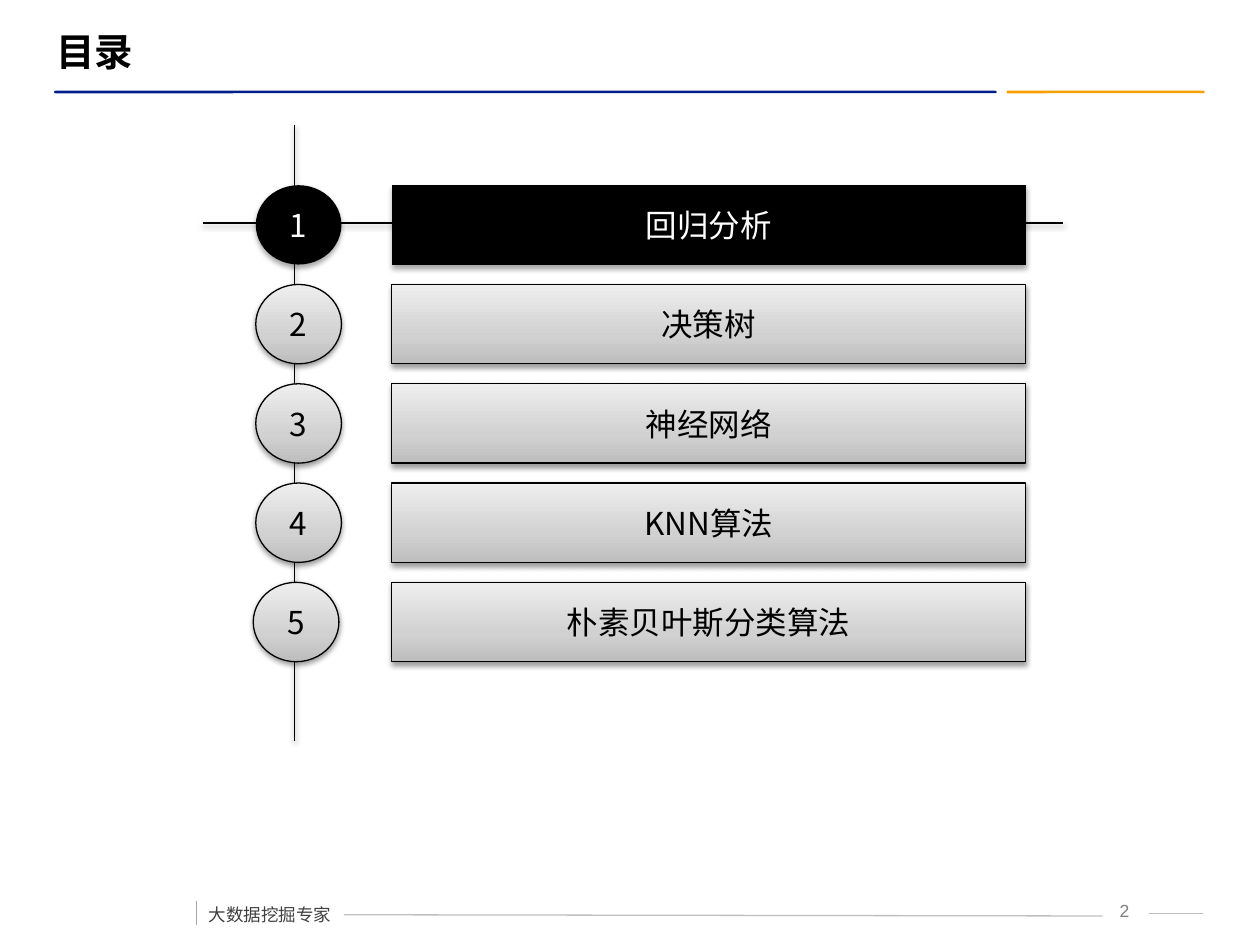
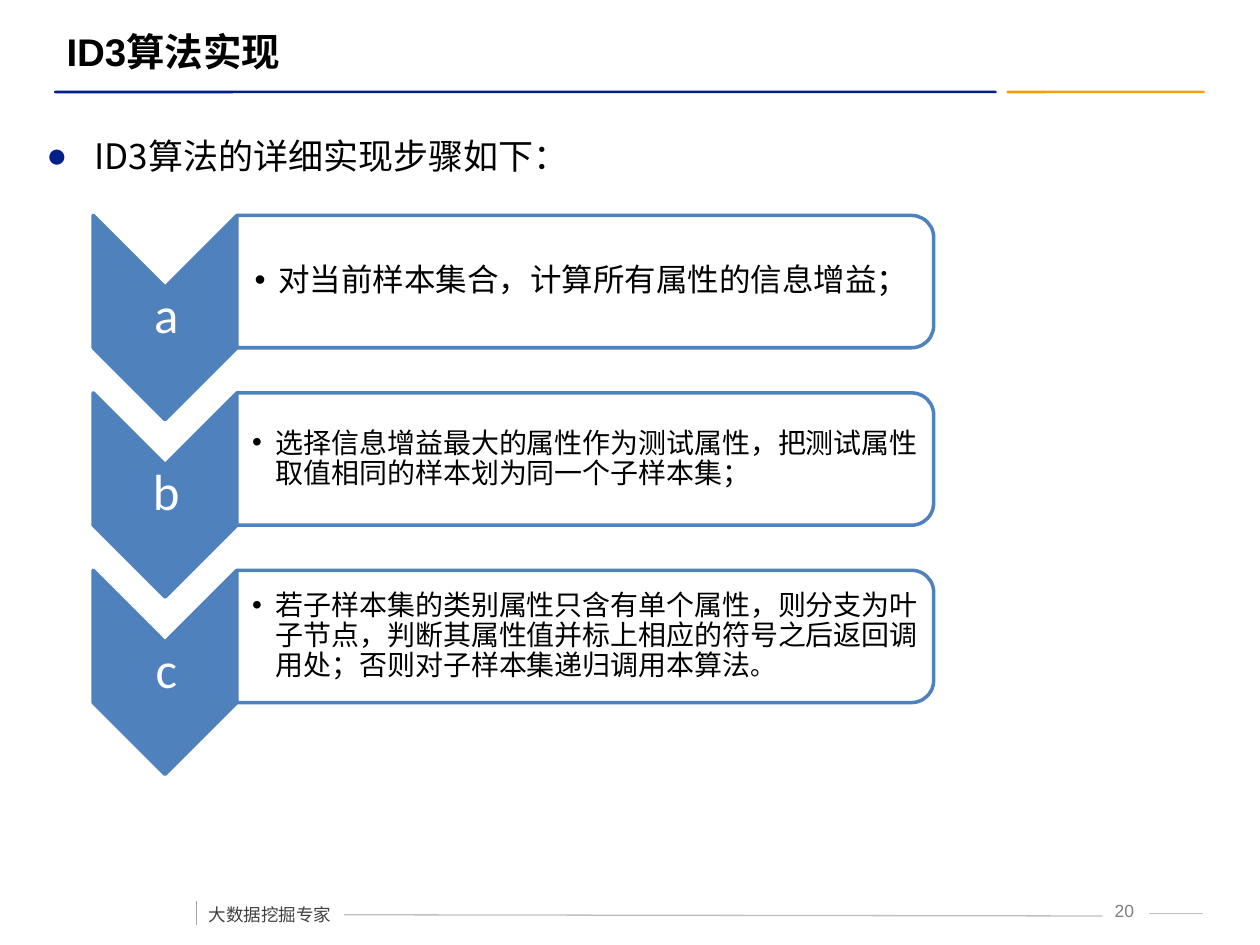
import copy

import lxml.etree
import pptx
import pptx.dml.color
import pptx.enum.shapes
import pptx.enum.text
import pptx.oxml.ns
import pptx.util

Kind = pptx.enum.shapes.MSO_SHAPE
Anchor = pptx.enum.text.MSO_ANCHOR
Align = pptx.enum.text.PP_ALIGN
Pt = pptx.util.Pt
rgb = pptx.dml.color.RGBColor.from_string
qn = pptx.oxml.ns.qn
sub = lxml.etree.SubElement

HUES = {
    "black": "000000", "white": "FFFFFF", "navy": "031D89", "amber": "F5A000",
    "steel": "4F81BD", "ink": "404040", "mid": "7F7F7F", "pale": "BFBFBF",
    "rule": "A6A6A6", "dot": "032089",
}
GRADE = [(0, "BDBDBD"), (0.35, "D1D1D1"), (1, "EEEEEE")]
SANS, ARIAL, LATIN = "Noto Sans CJK SC", "Arial", "Calibri"
SOFT, DEEP = (38, 20000), (35, 23000)  # shadow opacity in percent, distance in EMU

deck = pptx.Presentation()
deck.slide_width, deck.slide_height = pptx.util.Inches(10), pptx.util.Inches(7.5)
COL, ROW = deck.slide_width / 100, deck.slide_height / 75


def draw(slide, kind, at, fill=None, edge=None, wide=0.75, shade=None):
    """Add a shape, a "line" or a "text" box; at is left, top, width, height in grid units."""
    x, y, w, h = (round(n * unit) for n, unit in zip(at, (COL, ROW, COL, ROW)))
    if kind == "text":
        return slide.shapes.add_textbox(x, y, w, h)
    if kind == "line":
        straight = pptx.enum.shapes.MSO_CONNECTOR.STRAIGHT
        item = slide.shapes.add_connector(straight, x, y, x + w, y + h)
    else:
        item = slide.shapes.add_shape(kind, x, y, w, h)
        if fill == "grade":
            item.fill.gradient()
            item.fill.gradient_angle = 90
            stops = item.element.spPr.find(".//" + qn("a:gsLst"))
            stops.insert(1, copy.deepcopy(stops[0]))
            for stop, (place, hue) in zip(item.fill.gradient_stops, GRADE):
                stop.position, stop.color.rgb = place, rgb(hue)
        else:
            item.fill.solid()
            item.fill.fore_color.rgb = rgb(HUES[fill])
    if edge:
        item.line.color.rgb = rgb(HUES[edge])
        item.line.width = Pt(wide)
    else:
        item.line.fill.background()
    effect = sub(item.element.spPr, qn("a:effectLst"))
    if shade:
        glow = sub(effect, qn("a:outerShdw"), blurRad="40000", dist=str(shade[1]),
                   dir="5400000", rotWithShape="0")
        tint = sub(glow, qn("a:srgbClr"), val=HUES["black"])
        sub(tint, qn("a:alpha"), val=str(shade[0] * 1000))
    return item


def write(item, text, size, font=SANS, hue="black", bold=False, align=Align.LEFT,
          anchor=Anchor.MIDDLE, wrap=True, inset=None, dot=None):
    """Fill an item with one styled paragraph; dot is bullet, colour and indent in columns."""
    frame = item.text_frame
    frame.text = text
    frame.word_wrap, frame.vertical_anchor = wrap, anchor
    if inset:
        (frame.margin_left, frame.margin_top, frame.margin_right,
         frame.margin_bottom) = (round(n * COL) for n in inset)
    para = frame.paragraphs[0]
    para.alignment = align
    run = para.runs[0]
    run.font.size, run.font.name, run.font.bold = Pt(size), font, bold
    run.font.color.rgb = rgb(HUES[hue])
    sub(run.font._element, qn("a:ea"), typeface=SANS)
    if dot:
        sign, tint, dent = dot
        props = para._p.get_or_add_pPr()
        props.set("marL", str(round(dent * COL)))
        props.set("indent", str(round(-dent * COL)))
        sub(sub(props, qn("a:buClr")), qn("a:srgbClr"), val=HUES[tint])
        sub(props, qn("a:buFont"), typeface=ARIAL)
        sub(props, qn("a:buChar"), char=sign)
    return para


# Shared frame: title, two-colour band, footer
pages = []
for title, left, page in [("目录", 3.5, 2), ("ID3算法实现", 4.3, 20)]:
    slide = deck.slides.add_slide(deck.slide_layouts[6])
    pages.append(slide)
    band = draw(slide, Kind.ROUNDED_RECTANGLE, (79.9, 7.2, 15.7, 0.2), "amber")
    band.adjustments[0] = 0.36
    band = draw(slide, Kind.ROUNDED_RECTANGLE, (4.3, 7.2, 74.8, 0.2), "navy")
    band.adjustments[0] = 0.5
    for at, hue in [((27.3, 72.6, 60.2, 0.1), "pale"), ((91.2, 72.5, 4.3, 0), "pale"),
                    ((15.6, 71.5, 0, 1.9), "rule")]:
        draw(slide, "line", at, edge=hue)
    write(draw(slide, "text", (86.7, 70.9, 4.7, 2.5)), f" {page}", 10, ARIAL, "mid",
          align=Align.CENTER, anchor=Anchor.TOP)
    para = write(draw(slide, "text", (15.6, 70.4, 11.8, 3.5)), "大数据挖掘专家", 10,
                 hue="ink", anchor=Anchor.TOP, wrap=False)
    para.line_spacing, para.space_before = 1.5, Pt(6)
    write(draw(slide, "text", (left, 1.7, 90, 4.7)), title, 22, ARIAL, bold=True)

toc, steps = pages

# Contents: numbered discs and bars, the first one active
for at in [(23.4, 9.9, 0, 48.9), (16.1, 17.7, 68.3, 0)]:
    draw(toc, "line", at, edge="black", shade=SOFT)
names = ["回归分析", "决策树", "神经网络", "KNN算法", "朴素贝叶斯分类算法"]
for i, name in enumerate(names):
    top = 14.7 + 7.88 * i
    look = ("grade", "black", 0.75, SOFT) if i else ("black", None, 0, DEEP)
    disc = 20.1 if i == len(names) - 1 else 20.3
    for kind, left, wide, text in [(Kind.OVAL, disc, 6.8, str(i + 1)),
                                   (Kind.ACTION_BUTTON_CUSTOM, 31.1, 50.3, name)]:
        write(draw(toc, kind, (left, top, wide, 6.3), *look), text, 18,
              hue="black" if i else "white", align=Align.CENTER, wrap=False)

# ID3 steps: a chevron and a rounded panel per step
para = write(draw(steps, "text", (2.7, 8.5, 89, 7.8)), "ID3算法的详细实现步骤如下：", 20,
             anchor=Anchor.TOP, dot=("●", "dot", 3.8))
para.line_spacing, para.space_before = 1.5, Pt(4)
tasks = [
    ("a", "对当前样本集合，计算所有属性的信息增益；", 18, 1.4),
    ("b", "选择信息增益最大的属性作为测试属性，把测试属性取值相同的样本划为同一个子样本集；", 16, 1.2),
    ("c", "若子样本集的类别属性只含有单个属性，则分支为叶子节点，判断其属性值并标上相应的符号"
          "之后返回调用处；否则对子样本集递归调用本算法", 16, 1.2),
]
for i, (mark, text, size, pad) in enumerate(tasks):
    drop = 14.08 * i
    arrow = draw(steps, Kind.CHEVRON, (5, 19.5 + drop, 16.2, 11.4), "steel", "steel", 2)
    panel = draw(steps, Kind.ROUND_2_SAME_RECTANGLE, (41.2, drop - 5.3, 10.5, 55.3),
                 "white", "steel", 2)
    arrow.rotation = panel.rotation = 90
    para = write(draw(steps, "text", (7.5, 22.7 + drop, 11.4, 4.9)), mark, 29, LATIN,
                 "white", align=Align.CENTER, inset=(0.2,) * 4)
    para.line_spacing, para.space_after = 0.9, Pt(10)
    para = write(draw(steps, "text", (18.8, 17.6 + drop, 54.8, 9.5)), text, size,
                 inset=(pad, 0.1, 0.1, 0.1), dot=("•", "black", 1.9))
    para.line_spacing, para.space_after = 0.9, Pt(size * 0.15)
stop = para.add_run()
stop.text = "。"
stop.font.size, stop.font.name = Pt(14), LATIN
stop.font.color.rgb = rgb(HUES["black"])

deck.save("out.pptx")
